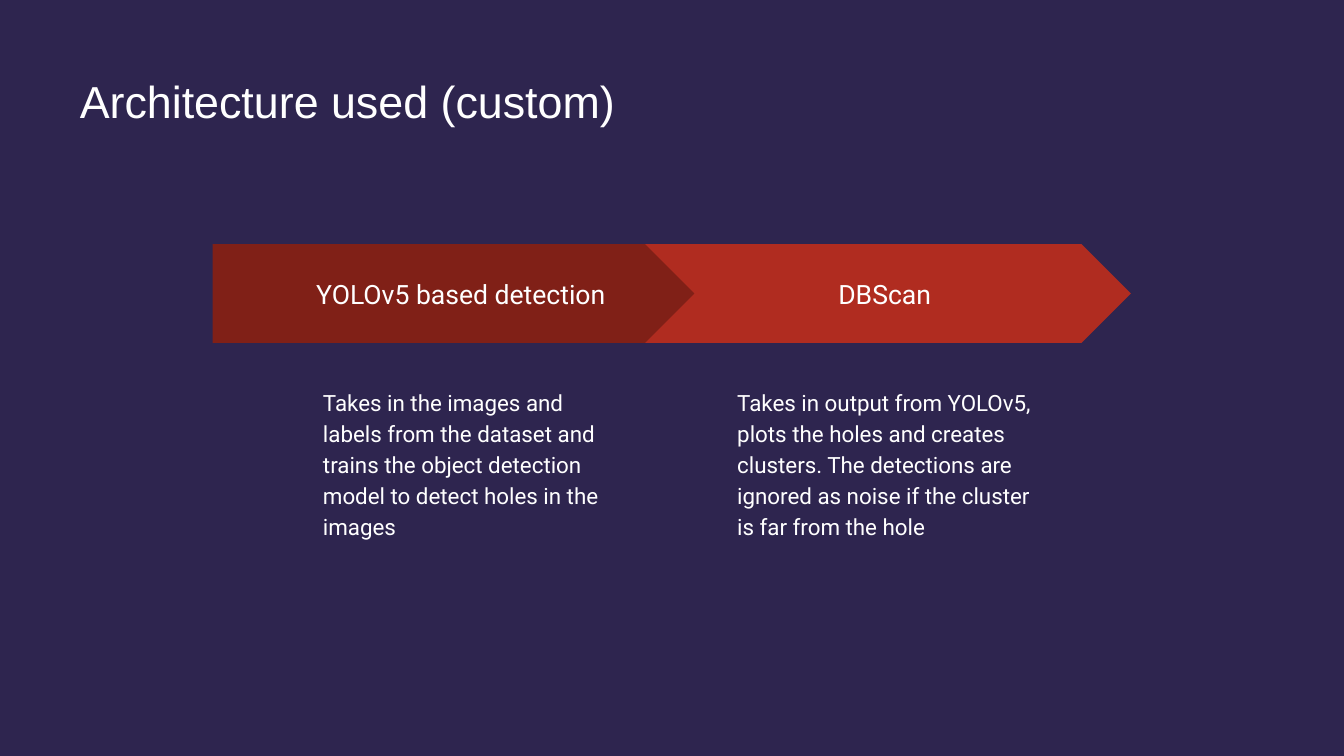
from dataclasses import dataclass

from pptx import Presentation
from pptx.dml.color import RGBColor
from pptx.enum.shapes import MSO_SHAPE as Preset
from pptx.enum.text import MSO_ANCHOR as Anchor, MSO_AUTO_SIZE as AutoSize, PP_ALIGN as Align
from pptx.util import Cm, Pt


@dataclass(frozen=True)
class Theme:
    background: str = "2E254F"
    text: str = "FFFFFF"
    detection: str = "802017"
    clustering: str = "B02C20"
    title_font: str = "Arial"
    body_font: str = "Roboto"
    title_size: int = 32
    step_size: int = 19
    body_size: int = 16


@dataclass(frozen=True)
class Box:
    left: float
    top: float
    width: float
    height: float

    def lengths(self):
        return Cm(self.left), Cm(self.top), Cm(self.width), Cm(self.height)


THEME = Theme()
ARROW_HEIGHT = 2.49
NOTE_GAP = 0.73
NOTE_WIDTH = 8.28
STEPS = [
    (Box(5.36, 6.15, 13.13, 12.9), Preset.PENTAGON, THEME.detection, 2.44,
     "YOLOv5 based detection",
     "Takes in the images and labels from the dataset and trains the object "
     "detection model to detect holes in the images"),
    (Box(16.26, 6.15, 12.24, 12.9), Preset.CHEVRON, THEME.clustering, 1.98,
     "DBScan ",
     "Takes in output from YOLOv5, plots the holes and creates clusters. "
     "The detections are ignored as noise if the cluster is far from the hole"),
]


def write_text(shape, text, size, font=THEME.body_font, align=Align.LEFT,
               anchor=Anchor.TOP, spacing=1.0, inset=0.34):
    frame = shape.text_frame
    frame.word_wrap = True
    frame.auto_size = AutoSize.NONE
    frame.vertical_anchor = anchor
    frame.margin_left = frame.margin_right = Cm(inset)
    frame.margin_top = frame.margin_bottom = Cm(inset)
    para = frame.paragraphs[0]
    para.alignment = align
    para.line_spacing = spacing
    para.space_before = Pt(0)
    span = para.add_run()
    span.text = text
    span.font.name = font
    span.font.size = Pt(size)
    span.font.color.rgb = RGBColor.from_string(THEME.text)


def add_title(page, box, text):
    title = page.shapes.title
    title.left, title.top, title.width, title.height = box.lengths()
    write_text(title, text, THEME.title_size, font=THEME.title_font,
               anchor=Anchor.MIDDLE, inset=0)


def add_step(page, box, preset, color, indent, label, description):
    arrow_box = Box(box.left, box.top, box.width, ARROW_HEIGHT)
    arrow = page.shapes.add_shape(preset, *arrow_box.lengths())
    arrow.adjustments[0] = 0.5
    arrow.shadow.inherit = False
    arrow.fill.solid()
    arrow.fill.fore_color.rgb = RGBColor.from_string(color)
    arrow.line.fill.background()
    write_text(arrow, label, THEME.step_size, align=Align.CENTER, anchor=Anchor.MIDDLE)

    drop = ARROW_HEIGHT + NOTE_GAP
    note_box = Box(box.left + indent, box.top + drop, NOTE_WIDTH, box.height - drop)
    note = page.shapes.add_textbox(*note_box.lengths())
    write_text(note, description, THEME.body_size, spacing=1.15)


def build_architecture_page(deck):
    page = deck.slides.add_slide(deck.slide_layouts[5])
    page.background.fill.solid()
    page.background.fill.fore_color.rgb = RGBColor.from_string(THEME.background)
    add_title(page, Box(2.01, 1.73, 29.79, 1.63), "Architecture used (custom)")
    for step in STEPS:
        add_step(page, *step)


def main():
    deck = Presentation()
    deck.slide_width, deck.slide_height = Cm(33.87), Cm(19.05)
    build_architecture_page(deck)
    deck.save("out.pptx")


if __name__ == "__main__":
    main()
